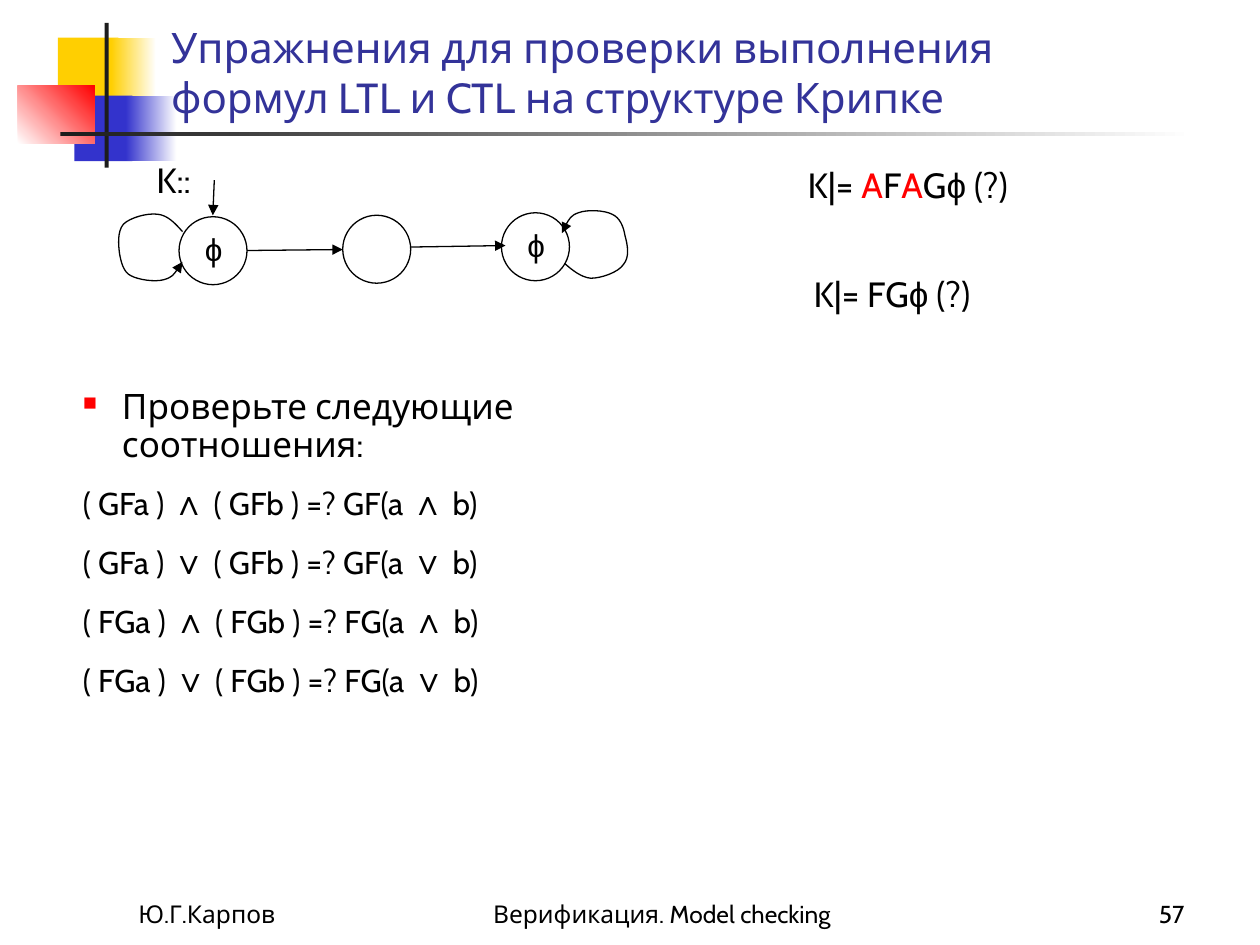
from lxml import etree
from pptx import Presentation
from pptx import util as u
from pptx.dml.color import RGBColor
from pptx.enum import shapes, text
from pptx.oxml import ns

BLACK = RGBColor(0, 0, 0)
WHITE = RGBColor(255, 255, 255)
RED = RGBColor(255, 0, 0)
YELLOW = RGBColor(0xFF, 0xCF, 0x01)
BLUE = RGBColor(0x33, 0x33, 0xCC)
CHARCOAL = RGBColor(0x1C, 0x1C, 0x1C)
TITLE_BLUE = RGBColor(0x33, 0x33, 0x99)
LEFT, CENTER, RIGHT = text.PP_ALIGN.LEFT, text.PP_ALIGN.CENTER, text.PP_ALIGN.RIGHT
TOP, BOTTOM = text.MSO_ANCHOR.TOP, text.MSO_ANCHOR.BOTTOM
CIRCLE = 1.37

LOGO_BLOCKS = [
    ((1.17, 0.76, 1.22, 1.32), [YELLOW], 0),
    ((2.24, 0.76, 0.91, 1.32), [YELLOW, WHITE], 0),
    ((1.5, 1.93, 1.17, 1.32), [BLUE], 0),
    ((2.54, 1.93, 1.02, 1.32), [BLUE, WHITE], 0),
    ((0.36, 1.73, 1.55, 1.17), [WHITE, RED], 45),
    ((2.11, 0.46, 0.08, 2.92), [CHARCOAL], 0),
    ((1.22, 2.67, 22.86, 0.08), [CHARCOAL, WHITE], 0),
]
STATES = [(3.61, 4.37, "ϕ"), (6.91, 4.34, ""), (10.11, 4.29, "ϕ")]
TRANSITIONS = [
    (4.32, 3.63, 4.29, 4.34),
    (4.98, 5.05, 6.91, 5.03),
    (8.28, 4.98, 10.19, 4.95),
]
LEFT_LOOP = [
    (3.68, 4.67), (3.53, 4.5), (3.38, 4.34), (3.18, 4.32), (2.97, 4.29),
    (2.62, 4.39), (2.49, 4.52), (2.36, 4.67), (2.39, 4.95), (2.41, 5.11),
    (2.44, 5.28), (2.49, 5.49), (2.64, 5.56), (2.79, 5.64), (3.12, 5.69),
    (3.3, 5.64), (3.48, 5.59), (3.58, 5.44), (3.68, 5.28),
]
RIGHT_LOOP = [
    (11.38, 5.31), (11.53, 5.44), (11.71, 5.59), (11.91, 5.61), (12.12, 5.61),
    (12.47, 5.49), (12.57, 5.33), (12.7, 5.18), (12.65, 4.93), (12.6, 4.75),
    (12.57, 4.57), (12.5, 4.39), (12.34, 4.32), (12.19, 4.24), (11.84, 4.22),
    (11.66, 4.29), (11.51, 4.34), (11.4, 4.52), (11.33, 4.7),
]


def add_block(slide, box, colors, angle):
    """Add a borderless rectangle with a solid or two-colour gradient fill."""
    shape = slide.shapes.add_shape(shapes.MSO_SHAPE.RECTANGLE, *map(u.Cm, box))
    shape.shadow.inherit = False
    shape.line.fill.background()
    if len(colors) == 1:
        shape.fill.solid()
        shape.fill.fore_color.rgb = colors[0]
        return
    shape.fill.gradient()
    shape.fill.gradient_angle = angle
    for stop, color in zip(shape.fill.gradient_stops, colors):
        stop.color.rgb = color


def style_line(shape, arrow=True):
    """Give a shape a thin black outline, optionally ending in an arrowhead."""
    shape.line.color.rgb = BLACK
    shape.line.width = u.Pt(0.75)
    if arrow:
        etree.SubElement(shape.line._get_or_add_ln(), ns.qn("a:tailEnd"), type="triangle")


def add_runs(paragraph, runs, **base):
    """Append (text, overrides) runs whose font starts from base values."""
    for content, overrides in runs:
        values = {"name": "Cabin", "size": 20, "bold": False, "color": BLACK, **base, **overrides}
        run = paragraph.add_run()
        run.text = content
        run.font.color.rgb = values.pop("color")
        values["size"] = u.Pt(values["size"])
        for name, value in values.items():
            setattr(run.font, name, value)


def add_label(slide, box, lines, align=CENTER, anchor=TOP, **base):
    """Add a wrapped text box with one paragraph, its lines split by breaks."""
    frame = slide.shapes.add_textbox(*map(u.Cm, box)).text_frame
    frame.word_wrap = True
    frame.vertical_anchor = anchor
    paragraph = frame.paragraphs[0]
    paragraph.alignment = align
    for index, runs in enumerate(lines):
        if index:
            paragraph.add_line_break()
        add_runs(paragraph, runs, **base)


def add_state(slide, left, top, label):
    """Add a state circle and its label."""
    box = map(u.Cm, (left, top, CIRCLE, CIRCLE))
    circle = slide.shapes.add_shape(shapes.MSO_SHAPE.OVAL, *box)
    circle.shadow.inherit = False
    circle.fill.background()
    style_line(circle, arrow=False)
    if label:
        add_label(slide, (left, top + 0.15, 1.4, 1.02), [[(label, {})]], name="Arial", size=18)


def add_transition(slide, ends):
    """Add a straight arrow between two points."""
    connector = slide.shapes.add_connector(shapes.MSO_CONNECTOR.STRAIGHT, *map(u.Cm, ends))
    style_line(connector)
    etree.SubElement(connector._element.spPr, ns.qn("a:effectLst"))


def add_loop(slide, points):
    """Add a curved arrow through a chain of cubic Bezier points."""
    start, *rest = [(u.Cm(x), u.Cm(y)) for x, y in points]
    builder = slide.shapes.build_freeform(*start)
    builder.add_line_segments(rest, close=False)
    shape = builder.convert_to_shape()
    segments = list(shape._element.iter(ns.qn("a:lnTo")))
    path = segments[0].getparent()
    for index in range(0, len(segments), 3):
        curve = etree.SubElement(path, ns.qn("a:cubicBezTo"))
        for segment in segments[index:index + 3]:
            curve.append(segment[0])
            path.remove(segment)
    shape.shadow.inherit = False
    shape.fill.background()
    style_line(shape)


def add_bullet(paragraph):
    """Give a paragraph a small red square bullet."""
    properties = paragraph._p.get_or_add_pPr()
    color = etree.SubElement(properties, ns.qn("a:buClr"))
    etree.SubElement(color, ns.qn("a:srgbClr"), val=str(RED))
    etree.SubElement(properties, ns.qn("a:buSzPct"), val="55000")
    etree.SubElement(properties, ns.qn("a:buChar"), char="■")


def add_exercises(slide):
    """Add the task heading and the four relations to check."""
    box = map(u.Cm, (0.15, 7.72, 15.14, 6.53))
    frame = slide.shapes.add_textbox(*box).text_frame
    frame.word_wrap = True
    sign = {"name": "Arial", "size": 20, "bold": True}
    rows = [[("Проверьте следующие соотношения:", {"size": 20})]]
    for operator in ("GF", "FG"):
        for symbol in "∧∨":
            rows.append([
                (f"( {operator}a ) ", {}), (symbol, sign),
                (f" ( {operator}b ) =? {operator}(a ", {}), (symbol, sign), (" b)", {}),
            ])
    for index, runs in enumerate(rows):
        paragraph = frame.add_paragraph() if index else frame.paragraphs[0]
        paragraph.line_spacing = 0.9
        paragraph.space_before = u.Pt(12 if index else 0)
        properties = paragraph._p.get_or_add_pPr()
        for name, value in {"marL": u.Cm(2.06), "indent": u.Cm(-0.79)}.items():
            properties.set(name, str(value))
        if not index:
            add_bullet(paragraph)
        add_runs(paragraph, runs, size=18)


def main():
    """Build the slide and save the presentation."""
    presentation = Presentation()
    presentation.slide_width, presentation.slide_height = u.Cm(25.4), u.Cm(19.05)
    slide = presentation.slides.add_slide(presentation.slide_layouts[6])
    for block in LOGO_BLOCKS:
        add_block(slide, *block)
    title = ["Упражнения для проверки выполнения", "формул LTL и CTL на структуре Крипке"]
    add_label(slide, (3.2, 0.56, 21.64, 2.03), [[(line, {})] for line in title],
              LEFT, BOTTOM, size=24, color=TITLE_BLUE)
    for left, width, content, align in [
        (2.54, 5.28, "Ю.Г.Карпов", LEFT),
        (9.32, 8.05, "Верификация. Model checking", CENTER),
        (18.85, 5.28, "57", RIGHT),
    ]:
        add_label(slide, (left, 17.58, width, 1.27), [[(content, {})]], align, BOTTOM, size=14)
    for state in STATES:
        add_state(slide, *state)
    for ends in TRANSITIONS:
        add_transition(slide, ends)
    for points in (LEFT_LOOP, RIGHT_LOOP):
        add_loop(slide, points)
    red = {"color": RED}
    ending = [("ϕ", {"name": "Arial"}), (" (?)", {})]
    always = [("K|= ", {}), ("A", red), ("F", {}), ("A", red), ("G", {})]
    add_label(slide, (2.79, 3.07, 1.42, 1.12), [[("K::", {})]])
    add_label(slide, (15.29, 3.18, 6.02, 1.12), [always + ending])
    add_label(slide, (15.67, 5.36, 4.62, 1.12), [[("K|= FG", {})] + ending])
    add_exercises(slide)
    presentation.save("out.pptx")


if __name__ == "__main__":
    main()
